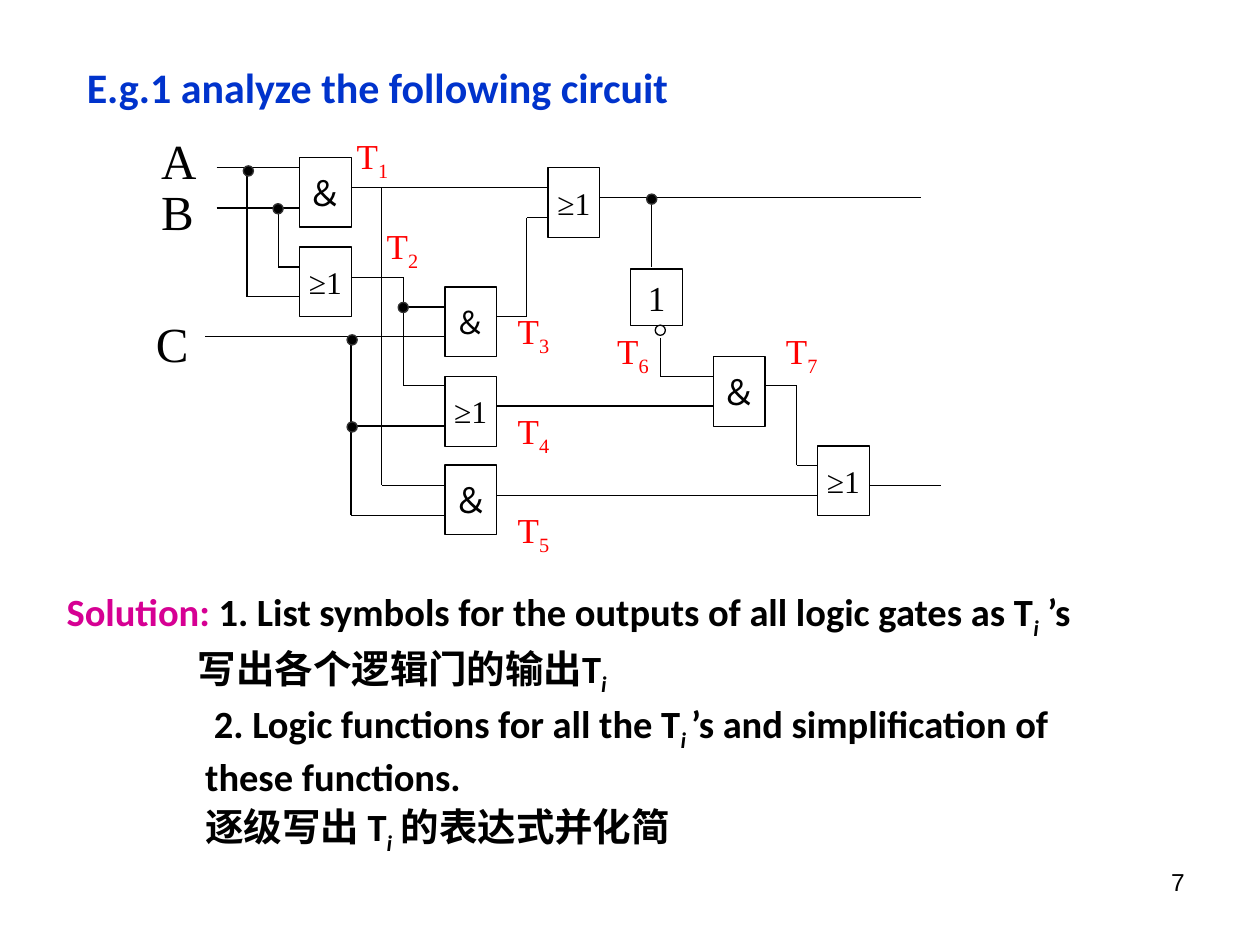
from itertools import pairwise

from lxml import etree
from pptx import Presentation, util as u
from pptx.dml.color import RGBColor
from pptx.enum import shapes, text
from pptx.oxml import ns

SERIF = "Times New Roman"
BLACK, RED, WHITE = "000000", "FF0000", "FFFFFF"


def color(value):
    return RGBColor.from_string(value)


def write(para, runs, font, size, bold=False):
    """Add (words, colour, is_subscript) runs; a bold subscript is also italic."""
    for words, ink, is_subscript in runs:
        span = para.add_run()
        span.text = words
        span.font.name = font
        span.font.size = u.Pt(size)
        span.font.bold = bold
        span.font.color.rgb = color(ink)
        if is_subscript:
            span.font.italic = bold
            span.font._element.set("baseline", "-25000")


deck = Presentation()
deck.slide_width, deck.slide_height = u.Pt(720), u.Pt(540)
page = deck.slides.add_slide(deck.slide_layouts[6])

# Text boxes: left, top, width, height, inset, font, size, bold, paragraphs.
# Each paragraph: left margin, first-line indent, alignment, runs.
LEFT, RIGHT = text.PP_ALIGN.LEFT, text.PP_ALIGN.RIGHT
boxes = [
    (516, 492, 168, 37, True, "Arial", 14, False,
     [(0, 0, RIGHT, [("7", BLACK, False)])]),
    (42.5, 31.7, 538.5, 36, True, "Calibri", 24, True,
     [(0, 0, LEFT, [("E.g.1 analyze the following circuit", "0033CC", False)])]),
    (31, 332.6, 595.5, 62.6, True, "Calibri", 22, True, [
        (0, 0, LEFT, [
            ("Solution: ", "D60093", False),
            ("1. List symbols for the outputs of all logic gates as T", BLACK, False),
            ("i", BLACK, True),
            (" ’s", BLACK, False)]),
        (75, 0, LEFT, [("写出各个逻辑门的输出T", BLACK, False), ("i", BLACK, True)])]),
    (110.2, 396.7, 545, 90, True, "Calibri", 22, True, [
        (0, 5, LEFT, [
            ("2. Logic functions for all the T", BLACK, False),
            ("i ", BLACK, True),
            ("’s and simplification of these functions.", BLACK, False)]),
        (0, 0, LEFT, [
            ("逐级写出 T", BLACK, False),
            ("i", BLACK, True),
            (" 的表达式并化简", BLACK, False)])]),
]

gate_outputs = [
    (203.8, 77, 25, 24, False), (221, 128.2, 24, 24, False),
    (288.7, 173.5, 43, 31, True), (288.7, 230.4, 37.5, 31, True),
    (288.7, 287.3, 43, 31, True), (345.6, 185, 37.5, 31, True),
    (442, 185, 37.5, 31, True),
]
for number, place in enumerate(gate_outputs, 1):
    runs = [("T", RED, False), (str(number), RED, True)]
    boxes.append((*place, SERIF, 20, False, [(0, 0, LEFT, runs)]))

inputs = [("A", 85, 71.3, 41.8), ("B", 85, 100, 35.3), ("C", 82, 175.7, 28)]
for name, left, top, width in inputs:
    boxes.append((left, top, width, 41, True, SERIF, 28, False,
                  [(0, 0, LEFT, [(name, BLACK, False)])]))

for left, top, width, height, inset, font, size, bold, paragraphs in boxes:
    box = page.shapes.add_textbox(u.Pt(left), u.Pt(top), u.Pt(width), u.Pt(height))
    frame = box.text_frame
    frame.word_wrap = True
    if not inset:
        frame.margin_left = frame.margin_right = 0
        frame.margin_top = frame.margin_bottom = 0
    for index, (margin, indent, alignment, runs) in enumerate(paragraphs):
        para = frame.add_paragraph() if index else frame.paragraphs[0]
        para.alignment = alignment
        if index:
            para.space_before = u.Pt(2.2)
        properties = para._p.get_or_add_pPr()
        properties.set("marL", str(u.Pt(margin)))
        properties.set("indent", str(u.Pt(indent)))
        write(para, runs, font, size, bold)

# Logic gates: symbol, left, top, height, text size
GATE_WIDTH, GATE_HEIGHT = 29.5, 39.8
gates = [
    ("≥1", 171.2, 141.1, GATE_HEIGHT, 18),
    ("≥1", 313.2, 95.8, GATE_HEIGHT, 18),
    ("≥1", 254.2, 215.2, GATE_HEIGHT, 18),
    ("≥1", 467.2, 254.8, GATE_HEIGHT, 18),
    ("＆", 171.2, 90, GATE_HEIGHT, 20),
    ("＆", 254.2, 164.1, GATE_HEIGHT, 18),
    ("＆", 407.6, 203.8, GATE_HEIGHT, 20),
    ("＆", 254.2, 265.7, GATE_HEIGHT, 20),
    ("1", 360.4, 153.7, 32.4, 20),
]
for symbol, left, top, height, size in gates:
    gate = page.shapes.add_shape(shapes.MSO_SHAPE.RECTANGLE, u.Pt(left), u.Pt(top),
                                 u.Pt(GATE_WIDTH), u.Pt(height))
    gate.shadow.inherit = False
    gate.fill.solid()
    gate.fill.fore_color.rgb = color(WHITE)
    gate.line.color.rgb = color(BLACK)
    gate.line.width = u.Pt(0.75)
    gate.text_frame.word_wrap = False
    gate.text_frame.vertical_anchor = text.MSO_ANCHOR.MIDDLE
    para = gate.text_frame.paragraphs[0]
    para.alignment = text.PP_ALIGN.CENTER
    write(para, [(symbol, BLACK, False)], SERIF, size)

# Wires: the corner points of each route
wires = [
    [(123.8, 95.8), (171.2, 95.8)],
    [(123.8, 118.8), (171.2, 118.8)],
    [(159.1, 118.8), (159.1, 152.6), (171.2, 152.6)],
    [(141.1, 95.8), (141.1, 169.6), (171.2, 169.6)],
    [(200.5, 158.4), (230.4, 158.4), (230.4, 220.5), (254.2, 220.5)],
    [(230.4, 175.5), (254.2, 175.5)],
    [(117.4, 192.5), (254.2, 192.5)],
    [(200.5, 192.5), (200.5, 294.5), (254.2, 294.5)],
    [(200.5, 243.5), (254.2, 243.5)],
    [(200.5, 107.3), (313.2, 107.3)],
    [(218.2, 107.3), (218.2, 277.4), (254.2, 277.4)],
    [(283.7, 181), (301, 181), (301, 124.3), (313.2, 124.3)],
    [(342.7, 113), (526.3, 113)],
    [(372.4, 113), (372.4, 152.6)],
    [(283.7, 232), (407.6, 232)],
    [(377.4, 193), (377.4, 215), (407.6, 215)],
    [(283.7, 283), (467.2, 283)],
    [(437.4, 220.5), (455.2, 220.5), (455.2, 266), (467.2, 266)],
    [(496.8, 277.4), (537.8, 277.4)],
]
for route in wires:
    for start, end in pairwise(route):
        wire = page.shapes.add_connector(shapes.MSO_CONNECTOR.STRAIGHT,
                                         *map(u.Pt, (*start, *end)))
        wire.line.color.rgb = color(BLACK)
        wire.line.width = u.Pt(0.75)
        etree.SubElement(wire._element.spPr, ns.qn("a:effectLst"))

# Junction dots, then the bubble that marks the inverter output
DIAMETER = 5.8
junctions = [(230.4, 175.7), (201.2, 244), (201.2, 194.2), (158.9, 119.3),
             (141.9, 97.7), (372.4, 113.8)]
dots = [(x, y, BLACK, "333333") for x, y in junctions]
dots.append((377.3, 188.7, WHITE, BLACK))
for x, y, fill, outline in dots:
    dot = page.shapes.add_shape(shapes.MSO_SHAPE.OVAL, u.Pt(x - DIAMETER / 2),
                                u.Pt(y - DIAMETER / 2), u.Pt(DIAMETER), u.Pt(DIAMETER))
    dot.shadow.inherit = False
    dot.fill.solid()
    dot.fill.fore_color.rgb = color(fill)
    dot.line.color.rgb = color(outline)
    dot.line.width = u.Pt(0.75)

deck.save("out.pptx")
